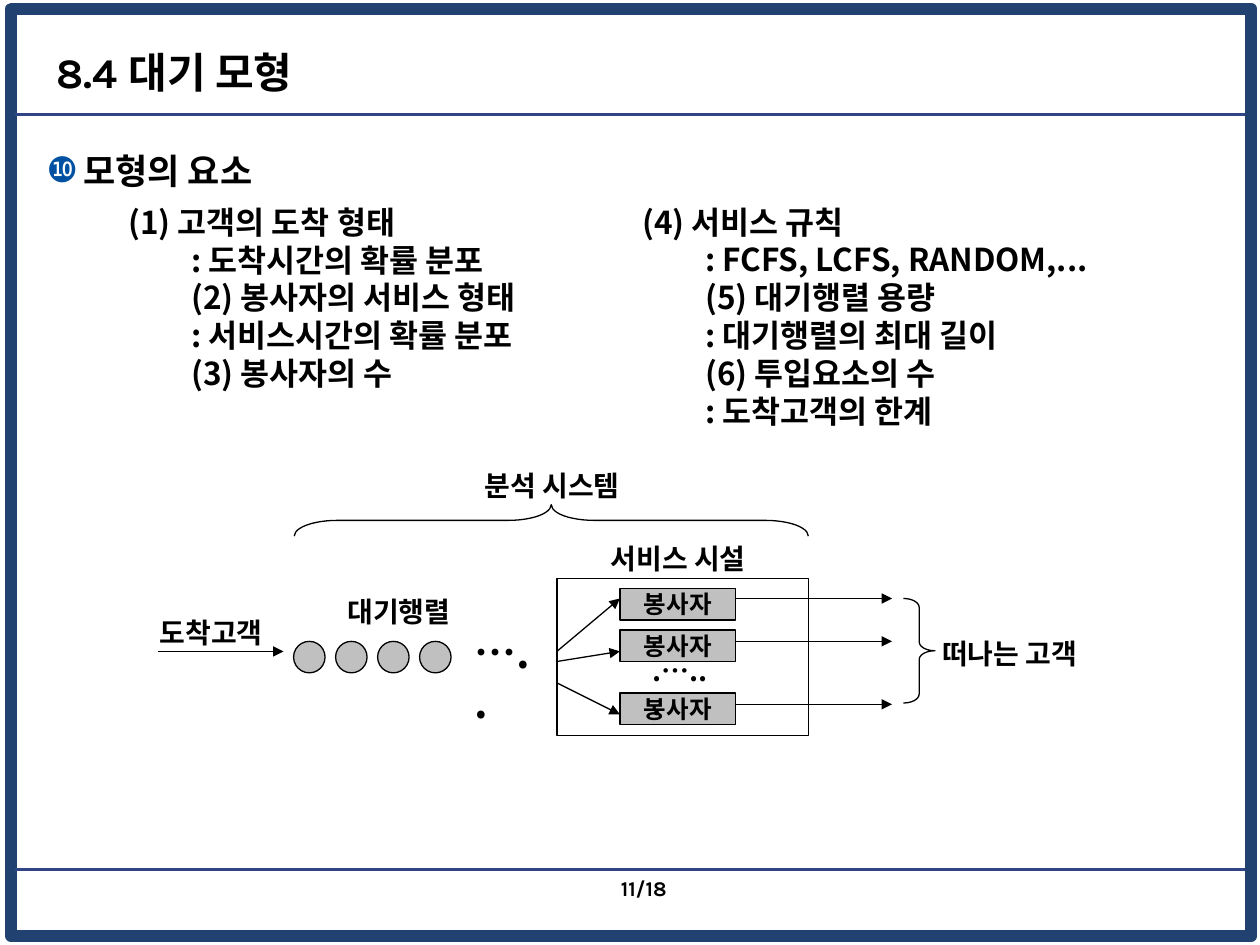
from lxml.etree import SubElement
from pptx import Presentation
from pptx.dml.color import RGBColor
from pptx.enum.shapes import MSO_CONNECTOR, MSO_SHAPE
from pptx.enum.text import MSO_ANCHOR, PP_ALIGN
from pptx.oxml.ns import qn
from pptx.util import Inches, Pt

HUES = {"frame": "214171", "rule": "314486", "mark": "0051A2",
        "ink": "000000", "text": "010000", "gray": "C0C0C0"}
HANGUL = "Noto Sans CJK KR"
LATIN = "Karla"

LEFT = ["(1) 고객의 도착 형태", ": 도착시간의 확률 분포", "(2) 봉사자의 서비스 형태",
        ": 서비스시간의 확률 분포", "(3) 봉사자의 수"]
RIGHT = ["(4) 서비스 규칙", ": FCFS, LCFS, RANDOM,...", "(5) 대기행렬 용량",
         ": 대기행렬의 최대 길이", "(6) 투입요소의 수", ": 도착고객의 한계"]


def color(name):
    return RGBColor.from_string(HUES[name])


def style(para, size, face=HANGUL, hue="text", align=PP_ALIGN.LEFT):
    font = para.font
    font.name, font.size, font.bold = face, Pt(size), True
    font.color.rgb = color(hue)
    para.alignment = align
    # East Asian face for the Korean letters
    props = font._element
    props.find(qn("a:latin")).addnext(
        props.makeelement(qn("a:ea"), {"typeface": HANGUL}))


def place(shape, x, y, w, h):
    shape.left, shape.top = Inches(x), Inches(y)
    shape.width, shape.height = Inches(w), Inches(h)


def label(slide, words, x, y, w, h, size=16, wrap=False, **kind):
    """Text box; lines after the first are set in by half an inch."""
    box = slide.shapes.add_textbox(Inches(x), Inches(y), Inches(w), Inches(h))
    frame = box.text_frame
    frame.word_wrap = wrap
    lines = [words] if isinstance(words, str) else words
    for i, line in enumerate(lines):
        para = frame.paragraphs[0] if i == 0 else frame.add_paragraph()
        para.text = line
        style(para, size, **kind)
        para.line_spacing = Pt(size * 1.2)
        if i:
            para._p.get_or_add_pPr().set("marL", str(Inches(0.5)))


def block(slide, form, x, y, w, h, fill=None, hue="ink", thick=0.75):
    shape = slide.shapes.add_shape(
        form, Inches(x), Inches(y), Inches(w), Inches(h))
    shape.shadow.inherit = False
    if fill:
        shape.fill.solid()
        shape.fill.fore_color.rgb = color(fill)
    else:
        shape.fill.background()
    shape.line.color.rgb = color(hue)
    shape.line.width = Pt(thick)
    return shape


def server(slide, y):
    box = block(slide, MSO_SHAPE.RECTANGLE, 4.92, y, 0.92, 0.25, "gray")
    frame = box.text_frame
    frame.word_wrap = False
    frame.vertical_anchor = MSO_ANCHOR.MIDDLE
    para = frame.paragraphs[0]
    para.text = "봉사자"
    style(para, 14, align=PP_ALIGN.CENTER)


def line(slide, x1, y1, x2, y2, hue="ink", thick=0.75, head=True):
    rule = slide.shapes.add_connector(
        MSO_CONNECTOR.STRAIGHT, Inches(x1), Inches(y1), Inches(x2), Inches(y2))
    rule.line.color.rgb = color(hue)
    rule.line.width = Pt(thick)
    if head:
        SubElement(rule.line._get_or_add_ln(), qn("a:tailEnd"), type="triangle")
    SubElement(rule._element.spPr, qn("a:effectLst"))


def brace(slide, form, x, y, w, h, curve, turn=0):
    shape = block(slide, form, x, y, w, h)
    shape.adjustments[0] = curve
    shape.rotation = turn


def page(slide):
    block(slide, MSO_SHAPE.RECTANGLE, 0.09, 0.07, 9.84, 7.36,
          hue="frame", thick=7)
    for y in (0.91, 6.9):
        line(slide, 0.12, y, 9.88, y, "rule", 2, head=False)
    label(slide, "11/18", 4.6, 6.9, 0.79, 0.3, 12, face=LATIN, hue="ink",
          align=PP_ALIGN.RIGHT)


def heads(slide):
    title, body = slide.placeholders[0], slide.placeholders[1]
    place(title, 0.35, 0.3, 7.8, 0.54)
    title.text_frame.text = "8.4 대기 모형"
    title.text_frame.vertical_anchor = MSO_ANCHOR.MIDDLE
    style(title.text_frame.paragraphs[0], 24, LATIN, "ink")

    place(body, 0.27, 1.07, 9.22, 5.67)
    body.text_frame.text = "모형의 요소"
    para = body.text_frame.paragraphs[0]
    style(para, 20, LATIN, "ink")
    para.line_spacing = 1.2
    para.space_before = Pt(4)
    # Numbered disc as bullet
    props = para._p.get_or_add_pPr()
    props.set("marL", str(Inches(0.29)))
    props.set("indent", str(-Inches(0.29)))
    mark = props.makeelement(qn("a:buClr"), {})
    SubElement(mark, qn("a:srgbClr"), val=HUES["mark"])
    sign = props.makeelement(qn("a:buChar"), {"char": "❿"})
    props.find(qn("a:defRPr")).addprevious(mark)
    mark.addnext(sign)


def queue(slide):
    # Waiting customers
    line(slide, 1.25, 5.17, 2.25, 5.17)
    for i in range(4):
        block(slide, MSO_SHAPE.OVAL, 2.33 + i / 3, 5.09, 0.25, 0.25, "gray")
    label(slide, "…..", 3.67, 4.92, 0.67, 0.5, 24, wrap=True)

    # Service facility: server top, way in, way out
    block(slide, MSO_SHAPE.RECTANGLE, 4.42, 4.59, 2, 1.25)
    for top, start, end, out in ((4.67, 5.17, 4.75, 4.75),
                                 (5, 5.25, 5.17, 5.09),
                                 (5.5, 5.42, 5.67, 5.59)):
        server(slide, top)
        line(slide, 4.42, start, 4.92, end)
        line(slide, 5.83, out, 7.08, out)
    label(slide, ".…...", 5.08, 5.14, 0.64, 0.37)

    # Braces
    brace(slide, MSO_SHAPE.RIGHT_BRACE, 7.17, 4.75, 0.25, 0.83, 0.28)
    brace(slide, MSO_SHAPE.LEFT_BRACE, 4.25, 2.09, 0.25, 4.08, 1.36, 90)

    # Names of the parts
    for words, x, y, w in (("도착고객", 1.17, 4.84, 1.09),
                           ("대기행렬", 2.66, 4.67, 1.09),
                           ("서비스 시설", 4.75, 4.25, 1.4),
                           ("떠나는 고객", 7.38, 5, 1.4),
                           ("분석 시스템", 3.75, 3.67, 1.4)):
        label(slide, words, x, y, w, 0.37)


def main():
    deck = Presentation()
    deck.slide_width, deck.slide_height = Inches(10), Inches(7.5)
    slide = deck.slides.add_slide(deck.slide_layouts[1])
    page(slide)
    heads(slide)
    queue(slide)
    label(slide, LEFT, 0.92, 1.56, 4.17, 2.58, 18, wrap=True)
    label(slide, RIGHT, 5, 1.56, 4.33, 2.5, 18, wrap=True)
    deck.save("out.pptx")


if __name__ == "__main__":
    main()
